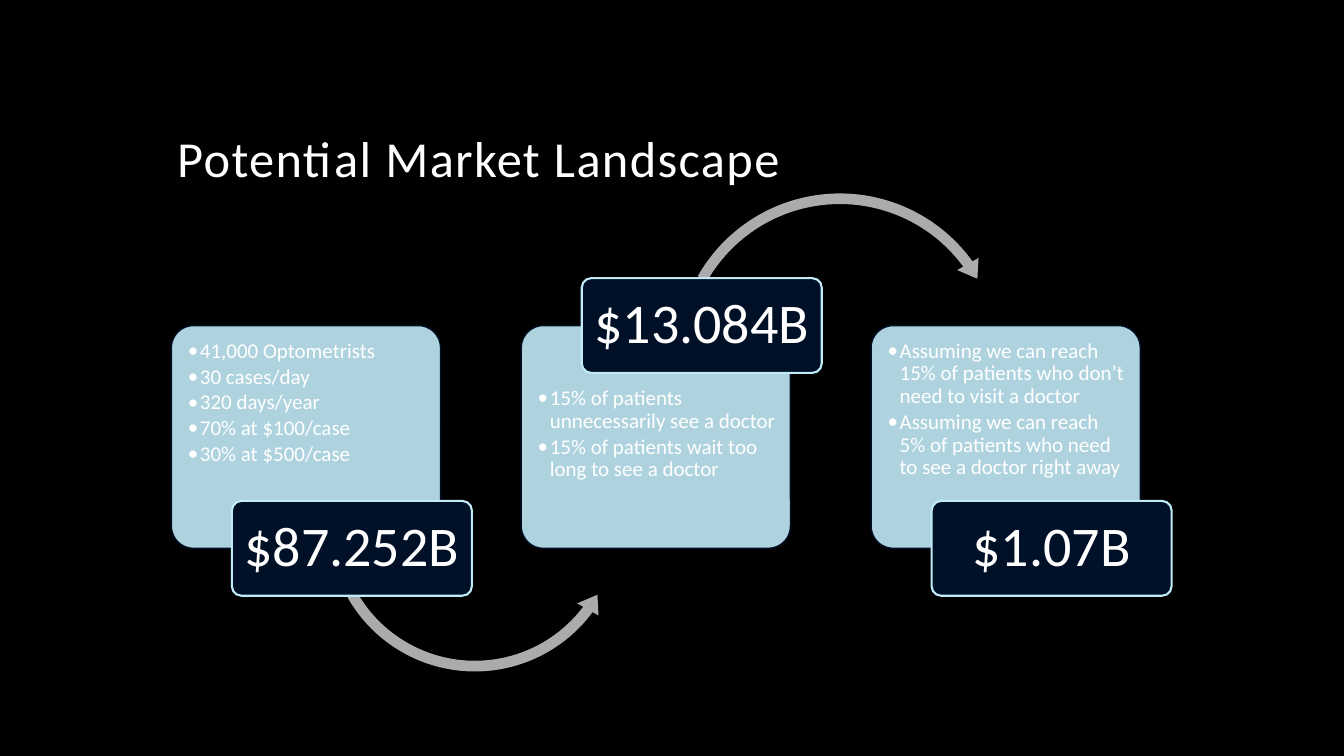
from dataclasses import dataclass

from lxml import etree
from pptx import Presentation
from pptx.dml.color import RGBColor
from pptx.enum.shapes import MSO_SHAPE
from pptx.enum.text import MSO_ANCHOR, PP_ALIGN
from pptx.oxml.ns import qn
from pptx.util import Pt

ROUNDED = MSO_SHAPE.ROUNDED_RECTANGLE
ARROW_OVER = MSO_SHAPE.CIRCULAR_ARROW
ARROW_UNDER = MSO_SHAPE.LEFT_CIRCULAR_ARROW
TOP, MIDDLE, BOTTOM = MSO_ANCHOR.TOP, MSO_ANCHOR.MIDDLE, MSO_ANCHOR.BOTTOM
LEFT, CENTER = PP_ALIGN.LEFT, PP_ALIGN.CENTER
EMU_PER_PX = 9144


@dataclass(frozen=True)
class Theme:
    font: str = "Calibri"
    background: RGBColor = RGBColor(0x00, 0x00, 0x00)
    text: RGBColor = RGBColor(0xFF, 0xFF, 0xFF)
    card: RGBColor = RGBColor(0xC1, 0xEB, 0xF7)
    navy: RGBColor = RGBColor(0x00, 0x10, 0x27)
    arrow: RGBColor = RGBColor(0xAB, 0xAB, 0xAD)
    title_size: int = 36
    amount_size: int = 40
    bullet_size: int = 15


THEME = Theme()

CARD_WIDTH, CARD_HEIGHT, CARD_STEP = 267, 221, 347
BADGE_WIDTH, BADGE_HEIGHT, BADGE_SHIFT, BADGE_RISE = 238, 94, 60, 47

STAGES = [
    {
        "amount": "$87.252B",
        "badge_on_top": False,
        "bullets": [
            "41,000 Optometrists",
            "30 cases/day",
            "320 days/year",
            "70% at $100/case",
            "30% at $500/case",
        ],
        "arrow": (ARROW_UNDER, 149, 46, 304, (0.035, 4.277, 22.032, 90.245, 0.04)),
    },
    {
        "amount": "$13.084B",
        "badge_on_top": True,
        "bullets": [
            "15% of patients unnecessarily see a doctor",
            "15% of patients wait too long to see a doctor",
        ],
        "arrow": (ARROW_OVER, 147, -138, 338, (0.031, 3.813, 194.431, 125.755, 0.036)),
    },
    {
        "amount": "$1.07B",
        "badge_on_top": False,
        "bullets": [
            "Assuming we can reach 15% of patients who don’t need to visit a doctor",
            "Assuming we can reach 5% of patients who need to see a doctor right away",
        ],
        "arrow": None,
    },
]


def px(length):
    return length * EMU_PER_PX


def add_filled_shape(slide, kind, box, fill, adjustments, line=None, line_width=0):
    shape = slide.shapes.add_shape(kind, *map(px, box))
    shape.shadow.inherit = False
    for index, value in enumerate(adjustments):
        shape.adjustments[index] = value
    shape.fill.solid()
    shape.fill.fore_color.rgb = fill
    if line is None:
        shape.line.fill.background()
    else:
        shape.line.color.rgb = line
        shape.line.width = Pt(line_width)
    return shape


def set_opacity(shape, percent):
    color = shape.fill._xPr.find(qn("a:solidFill"))[0]
    etree.SubElement(color, qn("a:alpha")).set("val", str(percent * 1000))


def make_bullet(paragraph):
    properties = paragraph._p.get_or_add_pPr()
    properties.set("marL", str(px(12)))
    properties.set("indent", str(-px(12)))
    etree.SubElement(properties, qn("a:buFont")).set("typeface", THEME.font)
    etree.SubElement(properties, qn("a:buChar")).set("char", "•")


def write_text(shape, lines, size, anchor, alignment, insets, bulleted=False):
    frame = shape.text_frame
    frame.word_wrap = True
    frame.vertical_anchor = anchor
    frame.margin_left, frame.margin_top, frame.margin_right, frame.margin_bottom = map(px, insets)
    for index, line in enumerate(lines):
        paragraph = frame.paragraphs[0] if index == 0 else frame.add_paragraph()
        paragraph.text = line
        paragraph.alignment = alignment
        paragraph.line_spacing = 0.9
        if bulleted:
            paragraph.level = 1
            paragraph.space_after = Pt(2.25)
            make_bullet(paragraph)
        paragraph.font.name = THEME.font
        paragraph.font.size = Pt(size)
        paragraph.font.color.rgb = THEME.text


def add_title(slide, box, title):
    text_box = slide.shapes.add_textbox(*map(px, box))
    write_text(text_box, [title], THEME.title_size, BOTTOM, LEFT, (10, 5, 10, 5))
    run = text_box.text_frame.paragraphs[0].runs[0]
    run._r.get_or_add_rPr().set("spc", "100")


def add_stage(slide, left, top, stage):
    on_top = stage["badge_on_top"]
    card = add_filled_shape(
        slide, ROUNDED, (left, top, CARD_WIDTH, CARD_HEIGHT),
        THEME.card, [0.1], THEME.navy, 1,
    )
    set_opacity(card, 90)
    text_top = 8 + (BADGE_RISE if on_top else 0)
    card_insets = (10, text_top, 5, 10)
    write_text(card, stage["bullets"], THEME.bullet_size, TOP, LEFT, card_insets, True)

    if stage["arrow"]:
        kind, shift, drop, side, adjustments = stage["arrow"]
        arrow_box = (left + shift, top + drop, side, side)
        add_filled_shape(slide, kind, arrow_box, THEME.arrow, adjustments)

    badge_top = top - BADGE_RISE if on_top else top + CARD_HEIGHT + BADGE_RISE - BADGE_HEIGHT
    badge = add_filled_shape(
        slide, ROUNDED, (left + BADGE_SHIFT, badge_top, BADGE_WIDTH, BADGE_HEIGHT),
        THEME.navy, [0.1], THEME.card, 1.5,
    )
    write_text(badge, [stage["amount"]], THEME.amount_size, MIDDLE, CENTER, (8, 6, 8, 6))


def add_stages(slide, left, top):
    for index, stage in enumerate(STAGES):
        add_stage(slide, left + index * CARD_STEP, top, stage)


def main():
    presentation = Presentation()
    presentation.slide_width, presentation.slide_height = px(1333), px(750)
    slide = presentation.slides.add_slide(presentation.slide_layouts[6])
    slide.background.fill.solid()
    slide.background.fill.fore_color.rgb = THEME.background
    add_title(slide, (166, 42, 1000, 150), "Potential Market Landscape")
    add_stages(slide, 170, 323)
    presentation.save("out.pptx")


if __name__ == "__main__":
    main()
